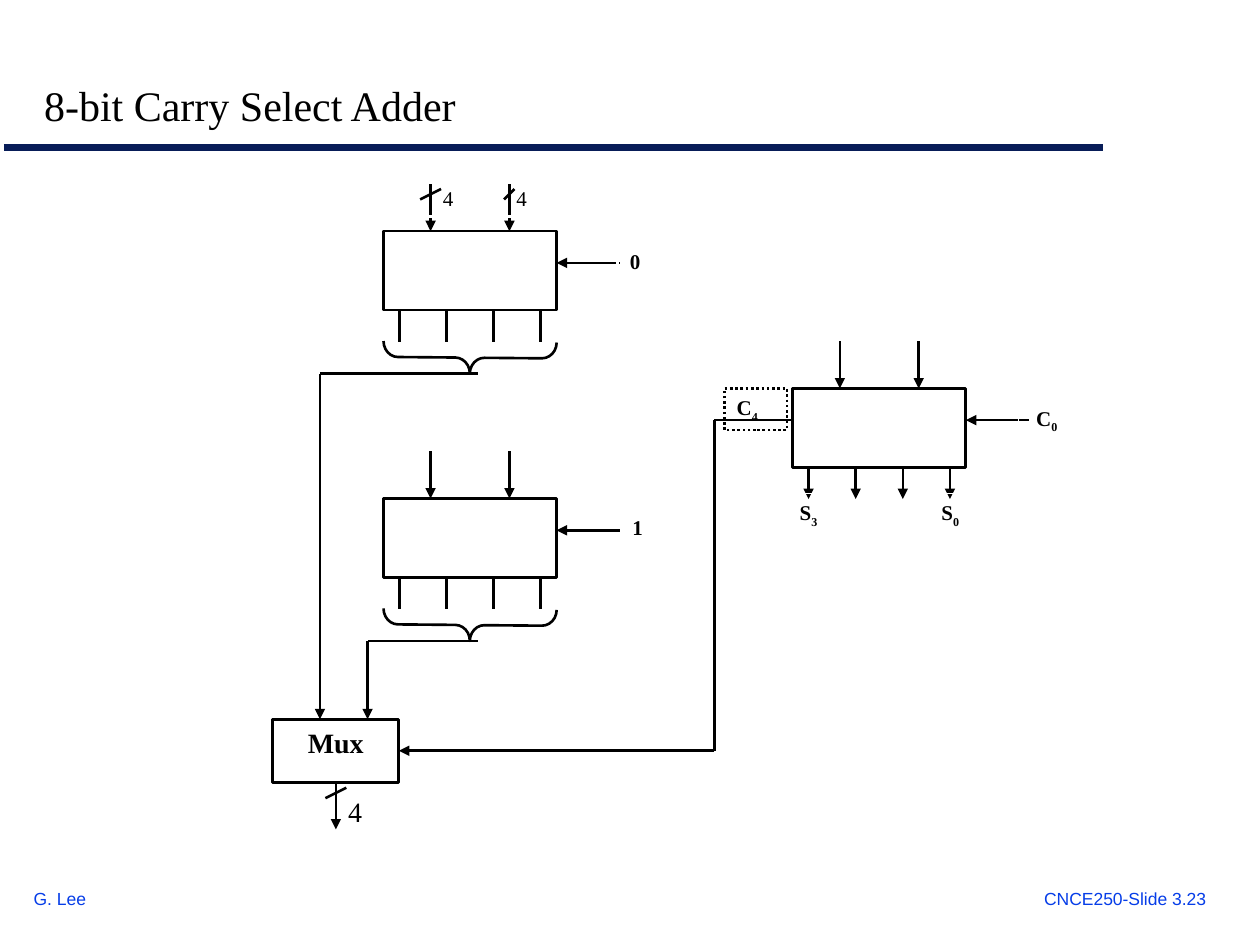
import itertools

import pptx
import pptx.dml.color
import pptx.enum.dml
import pptx.enum.shapes
import pptx.enum.text
import pptx.oxml.ns
import pptx.util
from lxml import etree

Cm = pptx.util.Cm
Pt = pptx.util.Pt
SHAPES = pptx.enum.shapes.MSO_SHAPE
ANCHOR = pptx.enum.text.MSO_ANCHOR
ALIGN = pptx.enum.text.PP_ALIGN
COLORS = {"ink": "000000", "paper": "FFFFFF", "rule": "081D58", "footer": "063DE8"}
SERIF, SANS = "Times New Roman", "Arial"
ADDER_WIDTH, ADDER_HEIGHT = 3.49, 1.59
CARRY_Y, STUB, INPUT_LENGTH, CARRY_LENGTH = 0.64, 0.64, 0.95, 1.27
MUX_WIDTH, MUX_HEIGHT = 2.54, 1.27


def color(name):
    """Return the named colour."""
    return pptx.dml.color.RGBColor.from_string(COLORS[name])


def add_line(slide, start, end, arrow=False, ink="ink", weight=1.5):
    """Draw a straight line, with an arrowhead at its end on request."""
    line = slide.shapes.add_connector(
        pptx.enum.shapes.MSO_CONNECTOR.STRAIGHT, *map(Cm, (*start, *end)))
    line.line.color.rgb = color(ink)
    line.line.width = Pt(weight)
    if arrow:
        etree.SubElement(line.line._get_or_add_ln(),
                         pptx.oxml.ns.qn("a:tailEnd"), type="triangle")
    etree.SubElement(line._element.spPr, pptx.oxml.ns.qn("a:effectLst"))
    return line


def add_route(slide, *points):
    """Draw a bent path ending in an arrow and return its last segment."""
    pairs = list(itertools.pairwise(points))
    for start, end in pairs[:-1]:
        add_line(slide, start, end)
    return add_line(slide, *pairs[-1], arrow=True)


def add_outline(slide, kind, box, fill=None, ink="ink", weight=1.5):
    """Draw an outlined preset shape, filled only when a fill is named."""
    shape = slide.shapes.add_shape(kind, *map(Cm, box))
    shape.shadow.inherit = False
    if fill:
        shape.fill.solid()
        shape.fill.fore_color.rgb = color(fill)
    else:
        shape.fill.background()
    shape.line.color.rgb = color(ink)
    shape.line.width = Pt(weight)
    return shape


def write(shape, text, size, font=SERIF, ink="ink", bold=False, subscript="",
          align=ALIGN.LEFT, anchor=ANCHOR.TOP, indent=0):
    """Write one line of text with an optional subscript."""
    frame = shape.text_frame
    frame.word_wrap = True
    frame.vertical_anchor = anchor
    frame.margin_left = Cm(0.25 + indent)
    frame.margin_right = Cm(0.25)
    frame.margin_top = frame.margin_bottom = Cm(0.13)
    paragraph = frame.paragraphs[0]
    paragraph.alignment = align
    for part, baseline in ((text, 0), (subscript, -25000)):
        if part:
            run = paragraph.add_run()
            run.text = part
            run.font.size = Pt(size)
            run.font.name = font
            run.font.bold = bold
            run.font.color.rgb = color(ink)
            if baseline:
                run._r.get_or_add_rPr().set("baseline", str(baseline))


def add_text(slide, box, text, size, **style):
    """Place a plain text box."""
    write(slide.shapes.add_textbox(*map(Cm, box)), text, size, **style)


def add_label(slide, box, text, ink="paper", weight=1.5, **style):
    """Place a framed signal label."""
    frame = add_outline(slide, SHAPES.RECTANGLE, box, ink=ink, weight=weight)
    write(frame, text, 12, **style)
    return frame


def add_frame(slide):
    """Place the title, its rule and the footer."""
    add_line(slide, (0.08, 2.97), (22.23, 2.97), ink="rule", weight=4)
    for left, width, text in ((0.43, 1.8, "G. Lee"), (20.8, 4.98, "CNCE250-Slide 3.23")):
        add_text(slide, (left, 17.78, width, 0.66), text, 10, font=SANS, ink="footer")
    add_text(slide, (0.64, 0.74, 24.33, 2.01), "8-bit Carry Select Adder", 24,
             anchor=ANCHOR.BOTTOM)


def add_adder(slide, left, top, braced):
    """Draw a four-bit adder whose outputs are gathered by a brace or arrows."""
    right, bottom = left + ADDER_WIDTH, top + ADDER_HEIGHT
    add_outline(slide, SHAPES.RECTANGLE, (left, top, ADDER_WIDTH, ADDER_HEIGHT), "paper")
    for index in range(4):
        x = left + 0.32 + 0.95 * index
        add_line(slide, (x, bottom), (x, bottom + STUB), arrow=not braced)
    for x in (left + 0.95, left + 2.54):
        add_line(slide, (x, top - INPUT_LENGTH), (x, top), arrow=True)
    carry = top + CARRY_Y
    add_line(slide, (right + CARRY_LENGTH, carry), (right, carry), arrow=True)
    if braced:
        middle = left + ADDER_WIDTH / 2
        brace = add_outline(slide, SHAPES.LEFT_BRACE, (
            middle - STUB / 2, bottom + STUB * 1.5 - ADDER_WIDTH / 2, STUB, ADDER_WIDTH))
        brace.adjustments[0] = 0.46
        brace.rotation = 270.5


def add_mux(slide, left, top):
    """Draw the multiplexer with its four-bit output."""
    mux = add_outline(slide, SHAPES.RECTANGLE, (left, top, MUX_WIDTH, MUX_HEIGHT), "paper")
    write(mux, "Mux", 16, bold=True, align=ALIGN.CENTER)
    middle, bottom = left + MUX_WIDTH / 2, top + MUX_HEIGHT
    output = add_line(slide, (middle, bottom), (middle, bottom + 0.95), arrow=True)
    output.begin_connect(mux, 2)
    add_line(slide, (middle + 0.21, bottom + 0.11), (middle - 0.21, bottom + 0.32))
    add_text(slide, (middle, bottom + 0.11, 1.7, 0.94), "4", 16)
    return mux


def add_upper_labels(slide, left, top):
    """Mark the widths of the two inputs and the carry of the upper adder."""
    add_label(slide, (left + 2.43, top - 1.05, 1.27, 0.76), "4")
    add_label(slide, (left + 0.74, top - 1.05, 1.07, 0.76), "4", indent=0.21)
    for x, reach in ((left + 2.43, 0.21), (left + 0.74, 0.42)):
        add_line(slide, (x + reach, top - 0.85), (x, top - 0.64))
    add_label(slide, (left + 4.72, top + 0.22, 1.09, 0.76), "0", bold=True)


def add_low_labels(slide, left, top):
    """Name the sums and carries of the low adder."""
    for x, y, width, text, digit, indent in (
            (-0.32, 2.12, 1.27, "S", "3", 0.21),
            (2.64, 2.12, 1.48, "S", "0", 0.11),
            (4.55, 0.22, 1.48, "C", "0", 0.11)):
        add_label(slide, (left + x, top + y, width, 0.84), text, weight=0.25,
                  subscript=digit, bold=True, indent=indent)
    carry = add_label(slide, (left - 1.38, top, 1.27, 0.84), "C", ink="ink",
                      subscript="4", bold=True)
    carry.line.dash_style = pptx.enum.dml.MSO_LINE.ROUND_DOT


def main():
    """Build and save the slide."""
    presentation = pptx.Presentation()
    presentation.slide_width, presentation.slide_height = Cm(25.4), Cm(19.05)
    slide = presentation.slides.add_slide(presentation.slide_layouts[6])
    upper, lower, low = (7.73, 4.66), (7.73, 10.05), (15.98, 7.83)
    mux_left, mux_top = 5.5, 14.5
    add_frame(slide)
    add_label(slide, (lower[0] + 4.77, lower[1] + 0.19, 1.07, 0.76), "1", bold=True)
    for corner, braced in ((upper, True), (lower, True), (low, False)):
        add_adder(slide, *corner, braced)
    mux = add_mux(slide, mux_left, mux_top)
    for (left, top), x in ((upper, mux_left + 0.95), (lower, mux_left + 1.91)):
        tip = top + ADDER_HEIGHT + 2 * STUB
        add_route(slide, (left + 1.9, tip), (x, tip), (x, mux_top))
    carry, select = low[1] + CARRY_Y, mux_top + MUX_HEIGHT / 2
    turn = low[0] - 1.58
    selector = add_route(slide, (low[0], carry), (turn, carry), (turn, select),
                         (mux_left + MUX_WIDTH, select))
    selector.end_connect(mux, 3)
    add_upper_labels(slide, *upper)
    add_low_labels(slide, *low)
    presentation.save("out.pptx")


if __name__ == "__main__":
    main()
